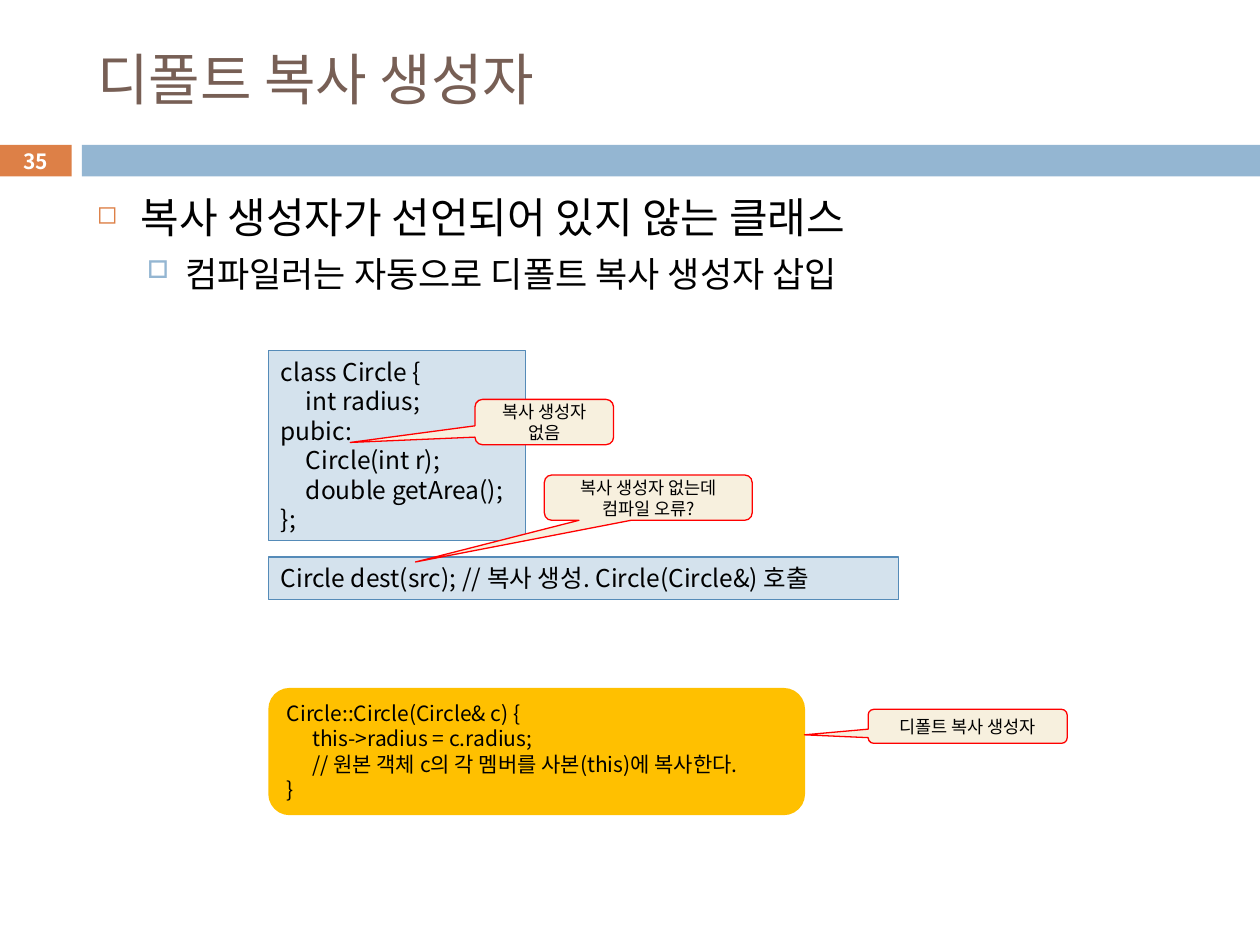
from dataclasses import dataclass

from lxml.etree import SubElement
from pptx import Presentation
from pptx.dml.color import RGBColor
from pptx.enum.shapes import MSO_SHAPE as Shape
from pptx.enum.text import MSO_ANCHOR as Anchor, MSO_AUTO_SIZE as AutoSize, PP_ALIGN as Align
from pptx.oxml.ns import qn
from pptx.util import Emu, Inches, Pt


@dataclass(frozen=True)
class Theme:
    """Colours, type sizes and spacing of the slide."""
    font: str = "Noto Sans CJK KR"
    brown: str = "775F55"
    orange: str = "DD8047"
    blue: str = "94B6D2"
    black: str = "000000"
    white: str = "FFFFFF"
    code_fill: str = "D4E2ED"
    code_line: str = "558BB8"
    note_fill: str = "F7F0DE"
    note_line: str = "FF0000"
    answer_fill: str = "FFC000"
    title_size: int = 32
    point_size: int = 24
    subpoint_size: int = 20
    code_size: int = 14
    answer_size: int = 12
    note_size: int = 10
    number_size: int = 12
    leading: float = 1.21


THEME = Theme()


def box(left, top, width, height):
    """Return a box in inches as lengths."""
    return tuple(Inches(length) for length in (left, top, width, height))


def apply(target, **values):
    """Set each format value on the target."""
    for name, value in values.items():
        setattr(target, name, value)


def write_line(paragraph, text, size, color=THEME.black, bold=False, align=Align.LEFT):
    """Write one paragraph in the theme font."""
    apply(paragraph, alignment=align, line_spacing=Pt(round(size * THEME.leading, 1)))
    run = paragraph.add_run()
    run.text = text
    apply(run.font, size=Pt(size), bold=bold, name=THEME.font)
    run.font.color.rgb = RGBColor.from_string(color)
    SubElement(run.font._element, qn("a:ea"), typeface=THEME.font)


def write_lines(frame, lines, size, **style):
    """Write lines as paragraphs of one frame and return them."""
    for index, text in enumerate(lines):
        paragraph = frame.add_paragraph() if index else frame.paragraphs[0]
        write_line(paragraph, text, size, **style)
    return frame.paragraphs


def add_panel(slide, kind, area, fill, line=None):
    """Add a flat filled shape with an optional thin outline."""
    panel = slide.shapes.add_shape(kind, *area)
    panel.shadow.inherit = False
    panel.fill.solid()
    panel.fill.fore_color.rgb = RGBColor.from_string(fill)
    if line:
        panel.line.color.rgb = RGBColor.from_string(line)
        panel.line.width = Pt(0.75)
    else:
        panel.line.fill.background()
    panel.text_frame.word_wrap = True
    return panel


def add_title(slide, area, text):
    """Place the slide title."""
    title = slide.shapes.title
    apply(title, **dict(zip(("left", "top", "width", "height"), area)))
    apply(title.text_frame, word_wrap=True, vertical_anchor=Anchor.MIDDLE,
          auto_size=AutoSize.NONE)
    write_lines(title.text_frame, [text], THEME.title_size, color=THEME.brown)


def add_band(slide, area, number):
    """Add the page number tab and the bar to its right."""
    left, top, width, height = area
    tab_width, gap = Inches(0.57), Inches(0.08)
    tab = add_panel(slide, Shape.RECTANGLE, (left, top, tab_width, height), THEME.orange)
    apply(tab.text_frame, margin_top=0, margin_bottom=0, vertical_anchor=Anchor.MIDDLE)
    write_lines(tab.text_frame, [number], THEME.number_size,
                color=THEME.white, bold=True, align=Align.CENTER)
    offset = tab_width + gap
    add_panel(slide, Shape.RECTANGLE,
              (Emu(left + offset), top, Emu(width - offset), height), THEME.blue)


def add_bullet(paragraph, mark, color, percent, left, hanging):
    """Give a paragraph a coloured bullet and a hanging indent."""
    properties = paragraph._p.get_or_add_pPr()
    properties.set("marL", str(Inches(left)))
    properties.set("indent", str(-Inches(hanging)))
    SubElement(SubElement(properties, qn("a:buClr")), qn("a:srgbClr"), val=color)
    SubElement(properties, qn("a:buSzPct"), val=str(percent * 1000))
    SubElement(properties, qn("a:buChar"), char=mark)


def add_points(slide, area, point, subpoint):
    """Add the main point and the point under it."""
    frame = slide.shapes.add_textbox(*area).text_frame
    frame.word_wrap = True
    main, sub = frame.paragraphs[0], frame.add_paragraph()
    add_bullet(main, "◻", THEME.orange, 60, 0.35, 0.35)
    add_bullet(sub, "□", THEME.blue, 70, 0.7, 0.3)
    apply(sub, level=1, space_before=Pt(5.5))
    write_line(main, point, THEME.point_size)
    write_line(sub, subpoint, THEME.subpoint_size)


def add_code(slide, area, lines, size=THEME.code_size, kind=Shape.RECTANGLE,
             fill=THEME.code_fill, line=THEME.code_line):
    """Add a code panel whose tabs indent by one step."""
    frame = add_panel(slide, kind, area, fill, line).text_frame
    apply(frame, vertical_anchor=Anchor.TOP, auto_size=AutoSize.SHAPE_TO_FIT_TEXT)
    for paragraph in write_lines(frame, lines, size):
        tabs = SubElement(paragraph._p.get_or_add_pPr(), qn("a:tabLst"))
        SubElement(tabs, qn("a:tab"), pos=str(Inches(0.2)), algn="l")


def add_note(slide, area, lines, tip):
    """Add a callout whose tip is a share of its size from its centre."""
    note = add_panel(slide, Shape.ROUNDED_RECTANGULAR_CALLOUT, area,
                     THEME.note_fill, THEME.note_line)
    for index, share in enumerate(tip):
        note.adjustments[index] = share
    note.text_frame.vertical_anchor = Anchor.MIDDLE
    write_lines(note.text_frame, lines, THEME.note_size, align=Align.CENTER)


def main():
    """Build and save the slide."""
    deck = Presentation()
    apply(deck, slide_width=Inches(10), slide_height=Inches(7.5))
    slide = deck.slides.add_slide(deck.slide_layouts[5])
    add_title(slide, box(0.67, 0.25, 8.92, 0.74), "디폴트 복사 생성자")
    add_band(slide, box(0, 1.15, 10, 0.25), "35")
    add_points(slide, box(0.67, 1.47, 8.92, 5.51),
               "복사 생성자가 선언되어 있지 않는 클래스",
               "컴파일러는 자동으로 디폴트 복사 생성자 삽입")
    add_code(slide, box(2.13, 2.78, 2.04, 1.51),
             ["class Circle {", "\tint radius;", "pubic:", "\tCircle(int r);",
              "\tdouble getArea();", "};"])
    add_note(slide, box(3.77, 3.17, 1.1, 0.36), ["복사 생성자 없음"], (-1.4, 0.45))
    add_code(slide, box(2.13, 4.42, 5, 0.34),
             ["Circle dest(src); // 복사 생성. Circle(Circle&) 호출"])
    add_note(slide, box(4.32, 3.77, 1.65, 0.36),
             ["복사 생성자 없는데", "컴파일 오류?"], (-1.12, 1.42))
    add_code(slide, box(2.13, 5.46, 4.26, 1.01),
             ["Circle::Circle(Circle& c) {", "\tthis->radius = c.radius;",
              "\t// 원본 객체 c의 각 멤버를 사본(this)에 복사한다.", "}"],
             THEME.answer_size, Shape.ROUNDED_RECTANGLE, THEME.answer_fill, None)
    add_note(slide, box(6.89, 5.63, 1.58, 0.27), ["디폴트 복사 생성자"], (-0.82, 0.25))
    deck.save("out.pptx")


if __name__ == "__main__":
    main()
